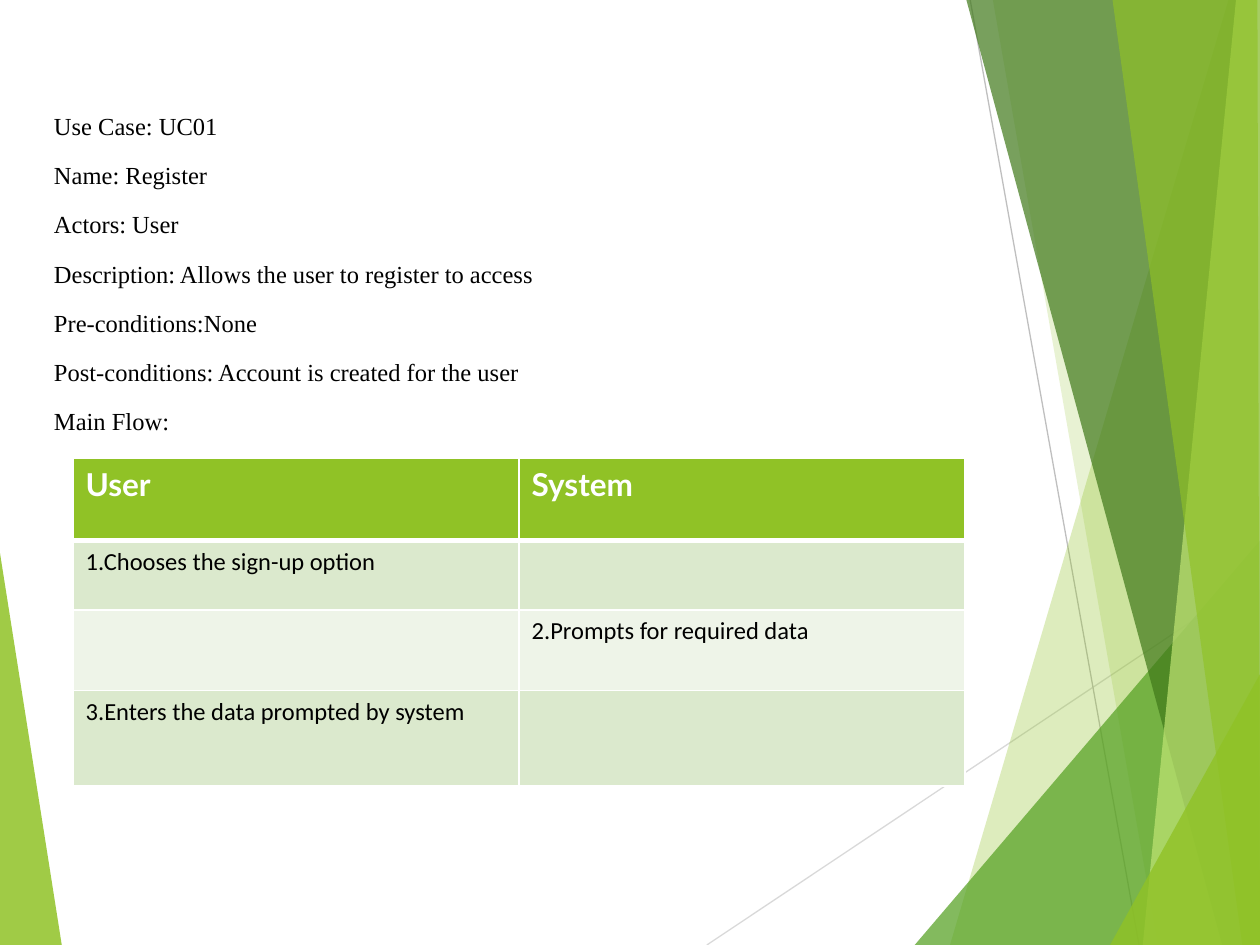
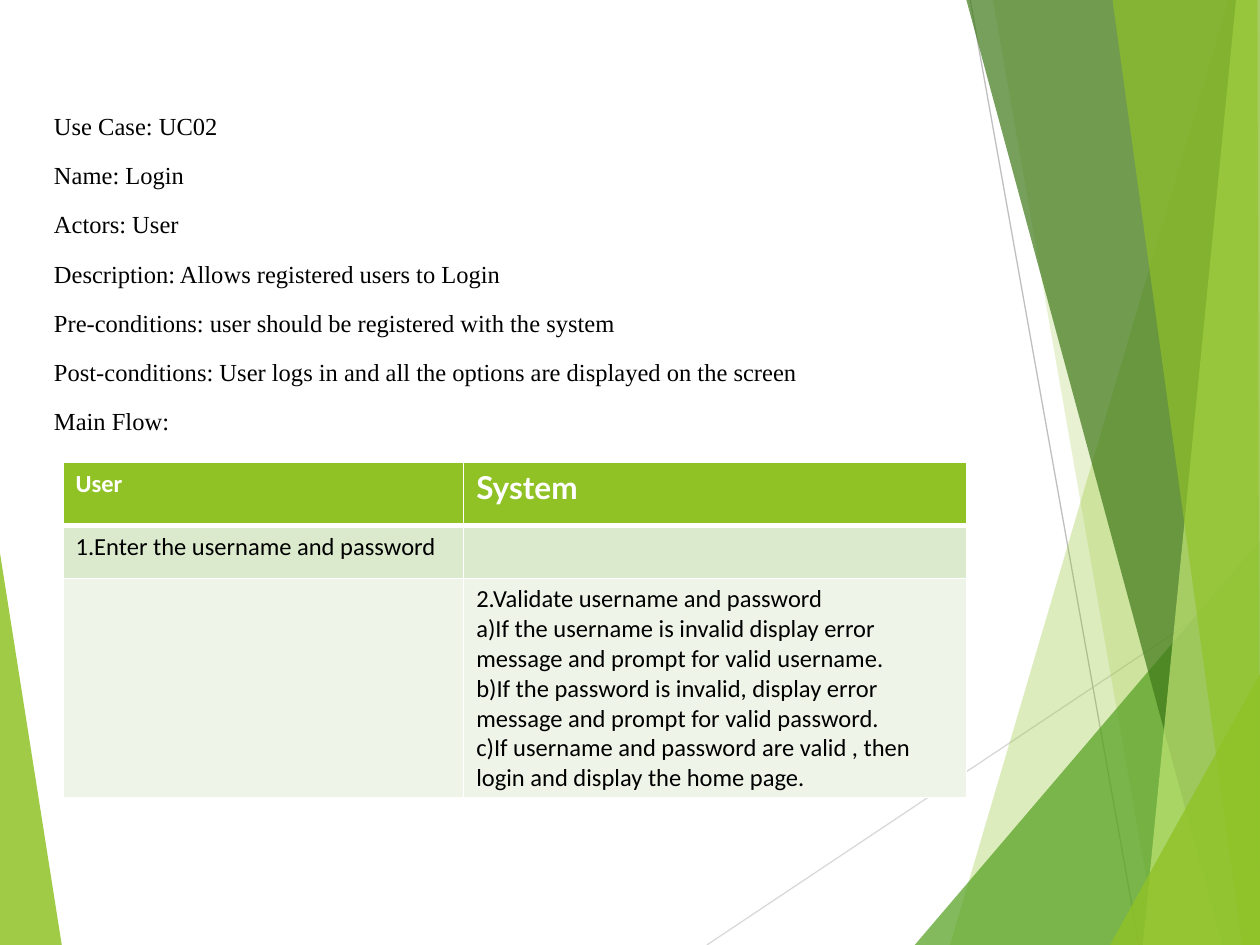
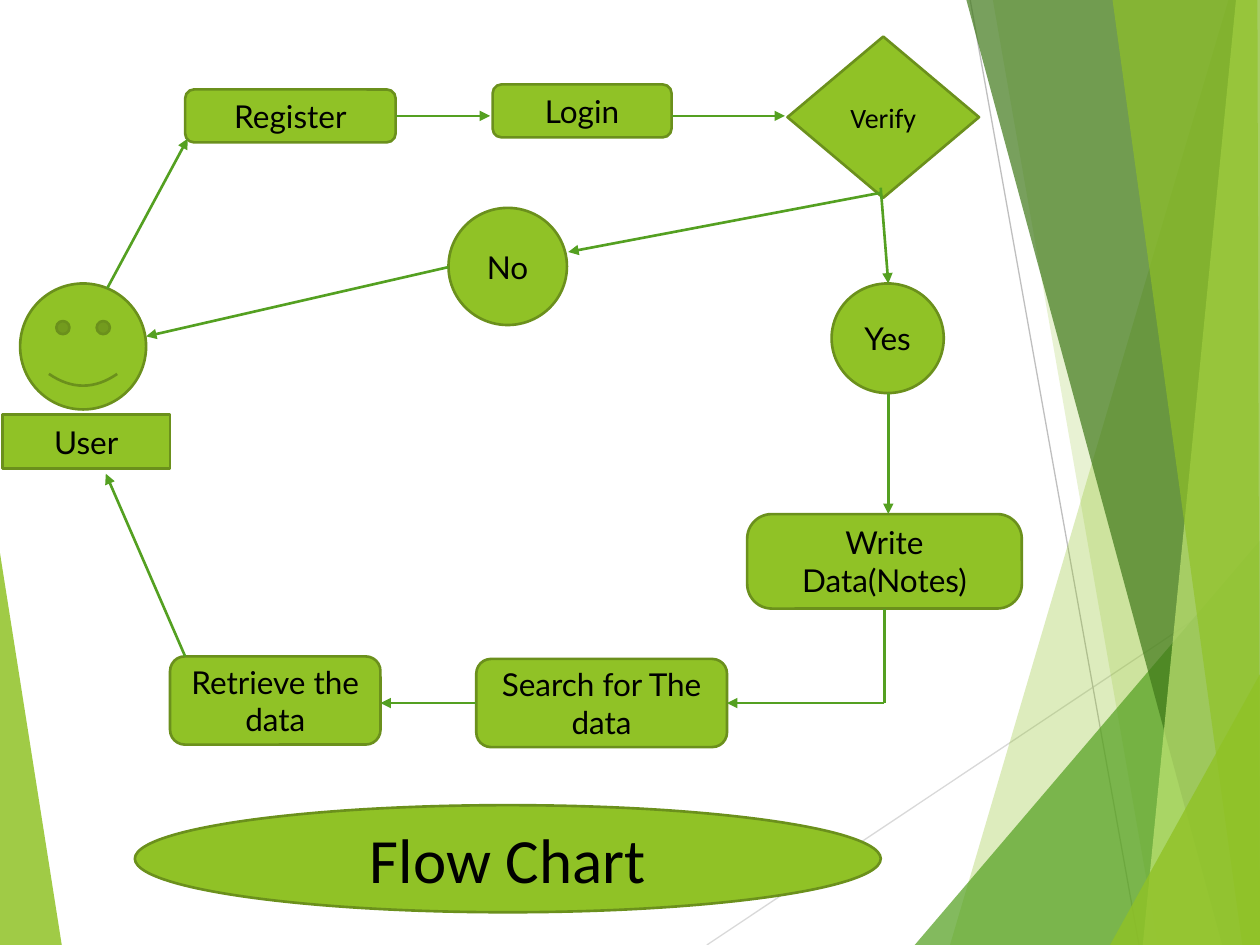
from dataclasses import dataclass

from lxml.etree import SubElement
from pptx import Presentation
from pptx.dml.color import RGBColor
from pptx.enum.shapes import MSO_CONNECTOR, MSO_SHAPE
from pptx.enum.text import MSO_ANCHOR, PP_ALIGN
from pptx.oxml.ns import qn
from pptx.util import Inches, Pt


@dataclass(frozen=True)
class Theme:
    width: float = 10
    height: float = 7.5
    lime: str = "90C226"
    green: str = "54A021"
    forest: str = "3F7819"
    pale: str = "C0E474"
    outline: str = "6B901C"
    bands: tuple = ("DBE9CD", "EEF4E8")
    white: str = "FFFFFF"
    black: str = "000000"
    serif: str = "Times New Roman"
    sans: str = "Calibri"
    display: str = "Lato"
    body: int = 14
    label: int = 18
    verdict: int = 16
    title: int = 36
    leading: int = 28


T = Theme()
W, H = T.width, T.height

# Shared backdrop: thin lines, then translucent facets (colour, opacity %, corners)
LEFT_FACET = (T.lime, 85, [(0, 4.39), (0.49, H), (0, H)])
RAYS = [("D9D9D9", (5.61, H), (W, 4.57)), ("BFBFBF", (7.7, 0), (9.04, H))]
RIGHT_FACETS = [
    (T.lime, 30, [(9.75, 0), (7.54, H), (W, H), (W, 0)]),
    (T.lime, 20, [(7.88, 0), (9.19, H), (W, H), (W, 0)]),
    (T.green, 72, [(7.26, H), (W, 4.29), (W, H)]),
    (T.forest, 70, [(7.67, 0), (9.7, H), (W, H), (W, 0)]),
    (T.pale, 70, [(9.81, 0), (9.07, H), (W, H), (W, 0)]),
    (T.lime, 65, [(8.83, 0), (9.86, H), (W, H), (9.98, 0)]),
    (T.lime, 80, [(8.81, H), (W, 5.35), (W, H)]),
]

USE_CASES = [
    dict(
        facts=[
            "Use Case: UC01",
            "Name: Register",
            "Actors: User",
            "Description: Allows the user to register to access",
            "Pre-conditions:None",
            "Post-conditions: Account is created for the user",
            "Main Flow:",
        ],
        at=(0.58, 3.64), cols=[3.54, 3.54], rows=[0.65, 0.55, 0.64, 0.76],
        heads=[("User", T.label, T.display), ("System", T.label, T.display)],
        steps=[
            (["1.Chooses the sign-up option"], []),
            ([], ["2.Prompts for required data"]),
            (["3.Enters the data prompted by system"], []),
        ],
    ),
    dict(
        facts=[
            "Use Case: UC02",
            "Name: Login",
            "Actors: User",
            "Description: Allows registered users to Login",
            "Pre-conditions: user should be registered with the system",
            "Post-conditions: User logs in and all the options are displayed on the screen",
            "Main Flow:",
        ],
        at=(0.5, 3.67), cols=[3.18, 3.99], rows=[0.5, 0.42, 1.74],
        heads=[("User", T.body, T.sans), ("System", T.label, T.display)],
        steps=[
            (["1.Enter the username and password"], []),
            ([], [
                "2.Validate username and password",
                "a)If the username is invalid display error message and prompt for valid username.",
                "b)If the password is invalid, display error message and prompt for valid password.",
                "c)If username and password are valid , then login and display the home page.",
            ]),
        ],
    ),
]

# Flow chart nodes: name -> (shape, box, text, size, font)
ROUND, CIRCLE = MSO_SHAPE.ROUNDED_RECTANGLE, MSO_SHAPE.FLOWCHART_CONNECTOR
NODES = {
    "face": (MSO_SHAPE.SMILEY_FACE, (0.16, 2.25, 1, 1), "", T.label, T.display),
    "register": (ROUND, (1.47, 0.71, 1.67, 0.42), "Register", T.label, T.display),
    "login": (ROUND, (3.91, 0.67, 1.42, 0.42), "Login", T.label, T.display),
    "verify": (MSO_SHAPE.DIAMOND, (6.25, 0.29, 1.52, 1.28), "Verify", T.verdict, T.sans),
    "no": (CIRCLE, (3.56, 1.65, 0.94, 0.93), "No", T.label, T.display),
    "yes": (CIRCLE, (6.6, 2.25, 0.89, 0.87), "Yes", T.label, T.display),
    "write": (ROUND, (5.93, 4.08, 2.18, 0.75), "Write Data(Notes)", T.label, T.display),
    "search": (ROUND, (3.78, 5.23, 1.99, 0.7), "Search for The data", T.label, T.display),
    "retrieve": (ROUND, (1.35, 5.21, 1.67, 0.7), "Retrieve the data", T.label, T.display),
    "user": (MSO_SHAPE.RECTANGLE, (0.02, 3.29, 1.33, 0.43), "User", T.label, T.display),
    "title": (MSO_SHAPE.OVAL, (1.07, 6.39, 5.92, 0.85), "Flow Chart", T.title, T.sans),
}
TOP, LEFT, BOTTOM, RIGHT = range(4)
# Flow chart links: start, end, has arrowhead, joined start, joined end
LINKS = [
    ((0.85, 2.29), (1.49, 1.1), True, None, None),
    ((3.14, 0.92), (3.89, 0.92), True, ("register", RIGHT), None),
    ((5.33, 0.92), (6.23, 0.92), True, None, None),
    ((6.99, 1.53), (4.51, 2), True, None, None),
    ((6.99, 1.49), (7.05, 2.25), True, None, None),
    ((3.56, 2.12), (1.16, 2.67), True, None, None),
    ((7.05, 3.12), (7.05, 4.08), True, None, None),
    ((7.02, 4.83), (7.02, 5.58), False, ("write", BOTTOM), None),
    ((7.02, 5.58), (5.77, 5.58), True, None, ("search", RIGHT)),
    ((3.78, 5.58), (3.02, 5.58), True, ("search", LEFT), None),
    ((1.47, 5.21), (0.84, 3.76), True, None, None),
]


def rgb(value):
    return RGBColor.from_string(value)


def inches(values):
    return [Inches(v) for v in values]


def write_text(tf, lines, size=T.body, font=T.sans, color=T.black, bold=False,
               align=None, leading=None):
    for i, line in enumerate(lines):
        p = tf.paragraphs[0] if i == 0 else tf.add_paragraph()
        p.alignment = align
        if leading:
            p.line_spacing = Pt(leading)
        r = p.add_run()
        r.text = line
        r.font.size, r.font.name, r.font.bold = Pt(size), font, bold
        r.font.color.rgb = rgb(color)


def add_line(s, start, end, color, width, arrow=False):
    c = s.shapes.add_connector(MSO_CONNECTOR.STRAIGHT, *inches(start + end))
    c.line.color.rgb, c.line.width = rgb(color), Pt(width)
    if arrow:
        SubElement(c.line._get_or_add_ln(), qn("a:tailEnd"), type="triangle")
    SubElement(c._element.spPr, qn("a:effectLst"))
    return c


def add_facet(s, color, opacity, corners):
    first, *rest = [inches(c) for c in corners]
    builder = s.shapes.build_freeform(*first)
    builder.add_line_segments(rest, close=True)
    sp = builder.convert_to_shape()
    sp.shadow.inherit = False
    sp.fill.solid()
    sp.fill.fore_color.rgb = rgb(color)
    sp.line.fill.background()
    clr = sp._element.spPr.find(".//" + qn("a:srgbClr"))
    SubElement(clr, qn("a:alpha"), val=str(opacity * 1000))


def new_slide(prs):
    s = prs.slides.add_slide(prs.slide_layouts[6])
    add_facet(s, *LEFT_FACET)
    for color, start, end in RAYS:
        add_line(s, start, end, color, 0.75)
    for facet in RIGHT_FACETS:
        add_facet(s, *facet)
    return s


def style_cell(cell, fill, bottom=1):
    tc_pr = cell._tc.get_or_add_tcPr()
    for side, width in (("L", 1), ("R", 1), ("T", 1), ("B", bottom)):
        ln = SubElement(tc_pr, qn(f"a:ln{side}"), w=str(Pt(width)))
        SubElement(SubElement(ln, qn("a:solidFill")), qn("a:srgbClr"), val=T.white)
    cell.fill.solid()
    cell.fill.fore_color.rgb = rgb(fill)


def add_use_case(prs, case):
    s = new_slide(prs)
    # Facts above the table
    tf = s.shapes.add_textbox(*inches((0.33, 0.68, 8.12, 3.15))).text_frame
    tf.word_wrap = True
    write_text(tf, case["facts"], font=T.serif, leading=T.leading)

    # Main flow table
    cols, rows = case["cols"], case["rows"]
    box = inches((*case["at"], sum(cols), sum(rows)))
    table = s.shapes.add_table(len(rows), len(cols), *box).table
    for col, width in zip(table.columns, cols):
        col.width = Inches(width)
    for row, height in zip(table.rows, rows):
        row.height = Inches(height)
    for j, (text, size, font) in enumerate(case["heads"]):
        cell = table.cell(0, j)
        style_cell(cell, T.lime, bottom=3)
        write_text(cell.text_frame, [text], size=size, font=font, color=T.white, bold=True)
    for i, step in enumerate(case["steps"]):
        for j, lines in enumerate(step):
            cell = table.cell(i + 1, j)
            style_cell(cell, T.bands[i % 2])
            write_text(cell.text_frame, lines)


def add_node(s, kind, box, text, size, font):
    sp = s.shapes.add_shape(kind, *inches(box))
    sp.shadow.inherit = False
    sp.fill.solid()
    sp.fill.fore_color.rgb = rgb(T.lime)
    sp.line.color.rgb, sp.line.width = rgb(T.outline), Pt(1.5)
    if text:
        tf = sp.text_frame
        tf.word_wrap, tf.vertical_anchor = True, MSO_ANCHOR.MIDDLE
        write_text(tf, [text], size=size, font=font, align=PP_ALIGN.CENTER)
    return sp


def add_flow_chart(prs):
    s = new_slide(prs)
    nodes = {name: add_node(s, *node) for name, node in NODES.items()}
    nodes["write"].adjustments[0] = 0.26
    for start, end, arrow, source, target in LINKS:
        c = add_line(s, start, end, T.green, 1.5, arrow)
        if source:
            c.begin_connect(nodes[source[0]], source[1])
        if target:
            c.end_connect(nodes[target[0]], target[1])


def main():
    prs = Presentation()
    prs.slide_width, prs.slide_height = inches((W, H))
    for case in USE_CASES:
        add_use_case(prs, case)
    add_flow_chart(prs)
    prs.save("out.pptx")


if __name__ == "__main__":
    main()
